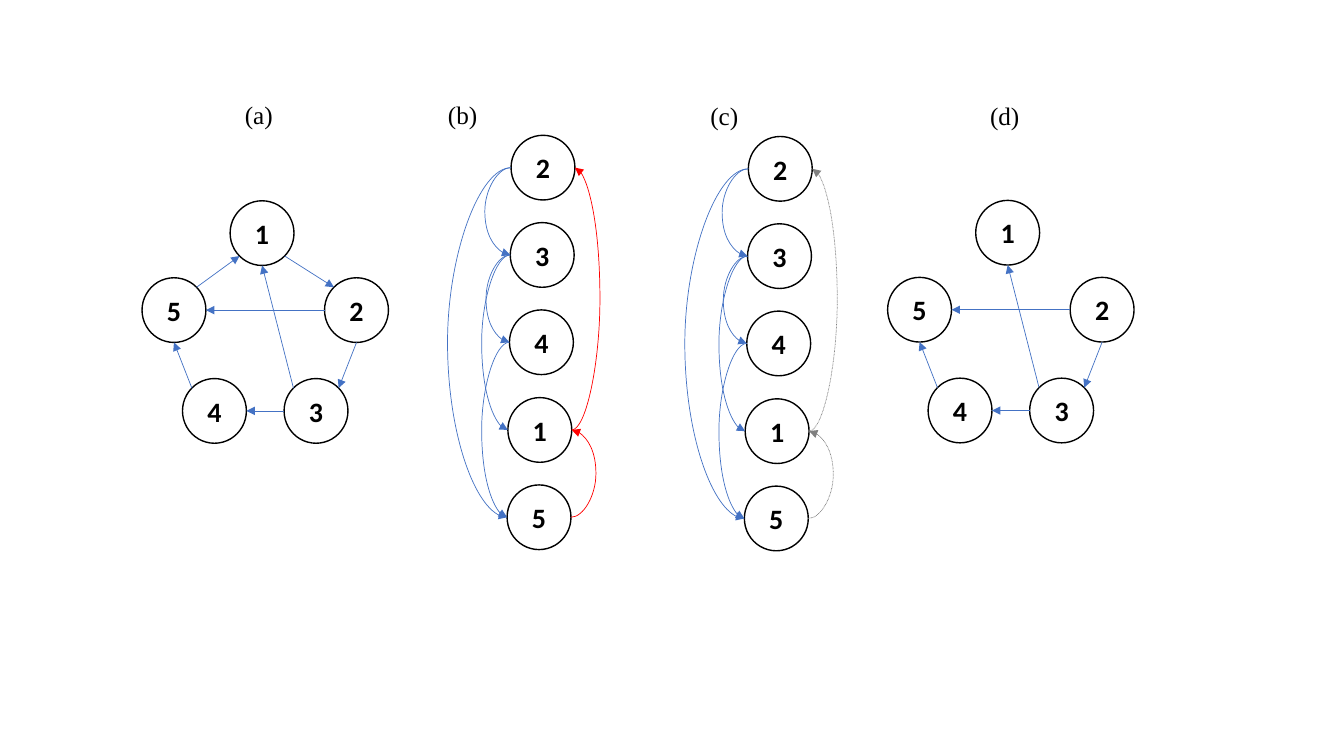
from math import cos, pi, sin

from lxml.etree import SubElement
from pptx import Presentation
from pptx.dml.color import RGBColor
from pptx.enum.dml import MSO_LINE as Dash
from pptx.enum.shapes import MSO_CONNECTOR as Link, MSO_SHAPE as Preset
from pptx.enum.text import MSO_ANCHOR as Anchor, MSO_AUTO_SIZE as Fit, PP_ALIGN as Align
from pptx.oxml.ns import qn
from pptx.util import Cm, Pt

BLUE, RED, GREY, BLACK, WHITE = "4472C4", "FF0000", "808080", "000000", "FFFFFF"
NODE_WIDTH, NODE_HEIGHT = 1.61, 1.63
TOP, TOP_LEFT, LEFT, BOTTOM_LEFT, BOTTOM, BOTTOM_RIGHT, RIGHT, TOP_RIGHT = range(8)


def color(code):
    return RGBColor.from_string(code)


def add_arrow(group, kind, start, end, code):
    arrow = group.shapes.add_connector(kind, *(Cm(value) for value in start + end))
    arrow.line.color.rgb = color(code)
    arrow.line.width = Pt(0.5)
    if code == GREY:
        arrow.line.dash_style = Dash.ROUND_DOT
    SubElement(arrow.line._get_or_add_ln(), qn("a:tailEnd"), type="triangle")
    SubElement(arrow._element.spPr, qn("a:effectLst"))
    return arrow


deck = Presentation()
deck.slide_width, deck.slide_height = Cm(33.87), Cm(19.05)
page = deck.slides.add_slide(deck.slide_layouts[6])

pentagon = {"1": (2.22, 0), "2": (4.6, 1.94), "5": (0, 1.94), "4": (1.02, 4.48), "3": (3.58, 4.48)}
column = {"2": (0.1, 0), "3": (0.08, 2.2), "4": (0.06, 4.4), "1": (0.02, 6.61), "5": (0, 8.81)}

cycle_edges = [("5", TOP_RIGHT, "1", BOTTOM_LEFT), ("1", BOTTOM_RIGHT, "2", TOP_LEFT)]
kept_edges = [
    ("2", BOTTOM, "3", TOP_RIGHT),
    ("3", TOP_LEFT, "1", BOTTOM),
    ("3", LEFT, "4", RIGHT),
    ("4", TOP_LEFT, "5", BOTTOM),
    ("2", LEFT, "5", RIGHT),
]
back_arcs = [("5", "1", 2.24), ("1", "2", 2.34)]
forward_arcs = [
    ("2", "3", -0.56),
    ("3", "4", -0.53),
    ("4", "5", -0.64),
    ("3", "1", -0.64),
    ("2", "5", -1.5),
]

graphs = [
    (3.58, 5.06, pentagon, cycle_edges + kept_edges, [], BLUE),
    (12.78, 3.41, column, [], forward_arcs + back_arcs, RED),
    (18.76, 3.44, column, [], forward_arcs + back_arcs, GREY),
    (22.37, 5.05, pentagon, kept_edges, [], BLUE),
]

for left, top, layout, edges, arcs, back_color in graphs:
    group = page.shapes.add_group_shape()
    sites = {}
    for name, (x, y) in layout.items():
        node = group.shapes.add_shape(
            Preset.OVAL, Cm(left + x), Cm(top + y), Cm(NODE_WIDTH), Cm(NODE_HEIGHT))
        node.shadow.inherit = False
        node.fill.solid()
        node.fill.fore_color.rgb = color(WHITE)
        node.line.color.rgb = color(BLACK)
        node.line.width = Pt(1)
        node.text_frame.text = name
        node.text_frame.vertical_anchor = Anchor.MIDDLE
        para = node.text_frame.paragraphs[0]
        para.alignment = Align.CENTER
        font = para.runs[0].font
        font.name, font.size, font.bold = "Calibri", Pt(20), True
        font.color.rgb = color(BLACK)
        sites[name] = [
            (left + x + NODE_WIDTH / 2 * (1 - sin(site * pi / 4)),
             top + y + NODE_HEIGHT / 2 * (1 - cos(site * pi / 4)))
            for site in range(8)
        ]
    for source, source_site, target, target_site in edges:
        add_arrow(group, Link.STRAIGHT, sites[source][source_site],
                  sites[target][target_site], BLUE)
    for source, target, bulge in arcs:
        side = RIGHT if bulge > 0 else LEFT
        start, end = sites[source][side], sites[target][side]
        arc = add_arrow(group, Link.CURVE, start, end, back_color if bulge > 0 else BLUE)
        bend = round((left + bulge - start[0]) / (end[0] - start[0]) * 100000)
        guides = arc._element.spPr.find(qn("a:prstGeom")).find(qn("a:avLst"))
        SubElement(guides, qn("a:gd"), name="adj1", fmla=f"val {bend}")

labels = [("(a)", 5.92, 2.39), ("(b)", 11.04, 2.39), ("(c)", 17.65, 2.41), ("(d)", 24.7, 2.41)]
for text, left, top in labels:
    box = page.shapes.add_textbox(Cm(left), Cm(top), Cm(1.24), Cm(1.02))
    box.text_frame.text = text
    box.text_frame.word_wrap = False
    box.text_frame.auto_size = Fit.SHAPE_TO_FIT_TEXT
    font = box.text_frame.paragraphs[0].runs[0].font
    font.name, font.size = "Times New Roman", Pt(18)
    font.color.rgb = color(BLACK)

deck.save("out.pptx")
